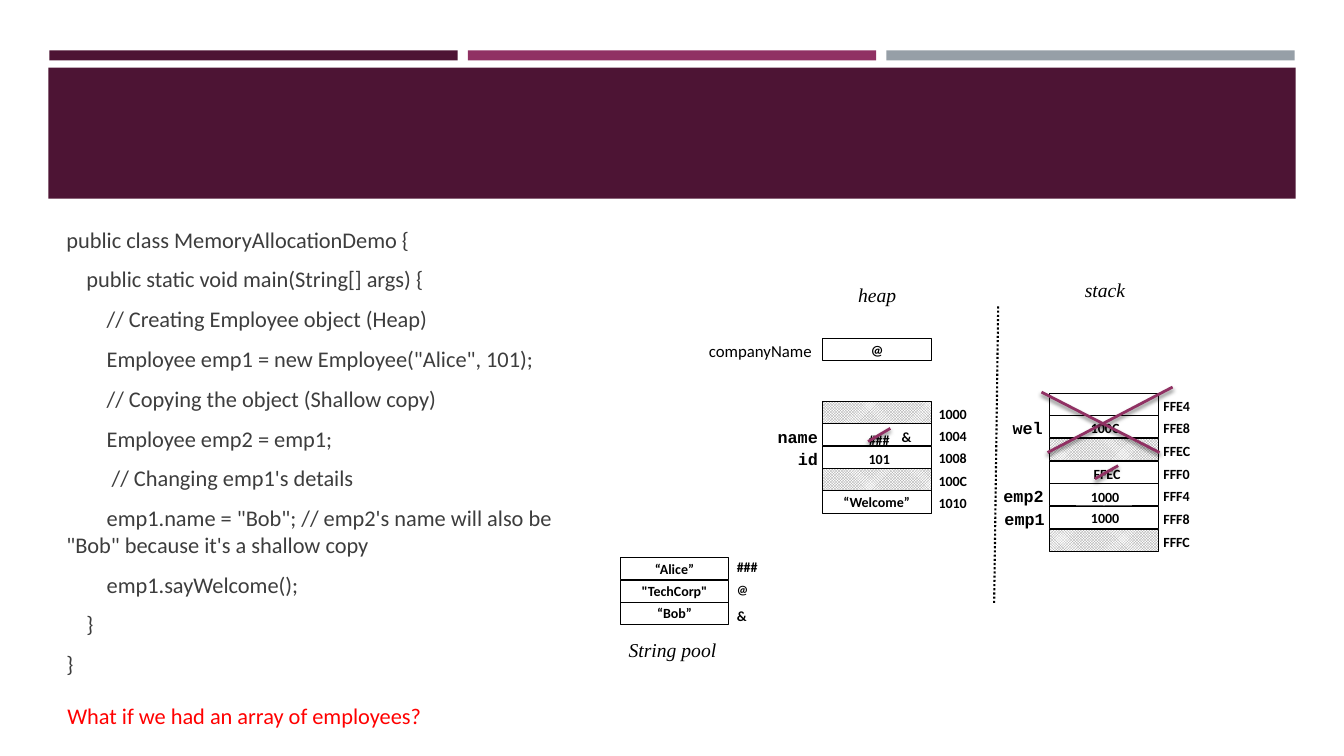
from lxml import etree
from pptx import Presentation
from pptx import util as u
from pptx.dml.color import RGBColor
from pptx.enum import dml, shapes, text
from pptx.oxml.ns import qn

COLORS = {
    "plum": "4D1434", "berry": "903163", "gray": "969FA7", "code": "3D3D3D",
    "black": "000000", "white": "FFFFFF", "check": "999999", "red": "FF0000",
}
LEFT, CENTER, RIGHT = text.PP_ALIGN.LEFT, text.PP_ALIGN.CENTER, text.PP_ALIGN.RIGHT
CELL_WIDTH, CELL_HEIGHT = 1.08, 0.22

CODE = [
    (0, "public class MemoryAllocationDemo {"),
    (0.2, "public static void main(String[] args) {"),
    (0.4, "// Creating Employee object (Heap)"),
    (0.4, 'Employee emp1 = new Employee("Alice", 101);'),
    (0.4, "// Copying the object (Shallow copy)"),
    (0.4, "Employee emp2 = emp1;"),
    (0.45, "// Changing emp1's details"),
    (0.4, "emp1.name = \"Bob\"; // emp2's name will also be \"Bob\" because it's a shallow copy"),
    (0.4, "emp1.sayWelcome();"),
    (0.2, "}"),
    (0, "}"),
]


def color(name):
    return RGBColor.from_string(COLORS[name])


class MemorySlide:
    def __init__(self, deck):
        self.page = deck.slides.add_slide(deck.slide_layouts[6])

    def add_span(self, para, words, size, ink="black", font="Calibri", bold=False, italic=False):
        span = para.add_run()
        span.text = words
        span.font.size = u.Pt(size)
        span.font.name = font
        span.font.bold = bold
        span.font.italic = italic
        span.font.color.rgb = color(ink)

    def block(self, left, top, width, height, fill):
        box = self.page.shapes.add_shape(
            shapes.MSO_SHAPE.RECTANGLE, *map(u.Inches, (left, top, width, height)))
        box.shadow.inherit = False
        box.fill.solid()
        box.fill.fore_color.rgb = color(fill)
        box.line.fill.background()
        return box

    def cell(self, left, top, words="", checked=False):
        box = self.block(left, top, CELL_WIDTH, CELL_HEIGHT, "white")
        box.line.color.rgb = color("black")
        box.line.width = u.Pt(0.75)
        if checked:
            box.fill.patterned()
            box.fill.pattern = dml.MSO_PATTERN.SMALL_CHECKER_BOARD
            box.fill.fore_color.rgb = color("check")
            box.fill.back_color.rgb = color("white")
        if words:
            frame = box.text_frame
            frame.word_wrap = False
            frame.vertical_anchor = text.MSO_ANCHOR.MIDDLE
            frame.paragraphs[0].alignment = CENTER
            self.add_span(frame.paragraphs[0], words, 10, bold=True)

    def column(self, left, first, last, rows, checked=()):
        pitch = (last - first) / (rows - 1)
        for row in range(rows):
            self.cell(left, first + row * pitch, checked=row in checked)

    def label(self, words, left, top, width=0.92, height=0.27, align=CENTER, size=10, **style):
        box = self.page.shapes.add_textbox(*map(u.Inches, (left, top, width, height)))
        box.text_frame.word_wrap = True
        para = box.text_frame.paragraphs[0]
        para.alignment = align
        self.add_span(para, words, size, **style)

    def addresses(self, left, first, last, names):
        pitch = (last - first) / (len(names) - 1)
        for row, name in enumerate(names):
            self.label(name, left, first + row * pitch, align=LEFT, bold=True)

    def variable(self, name, left, top):
        self.label(name, left, top, height=0.3, align=RIGHT, size=12,
                   font="Courier New", bold=True)

    def caption(self, words, left, top):
        self.label(words, left, top, 1.1, 0.33, size=14, font="Times New Roman", italic=True)

    def prose(self, lines, left, top, width, height, ink):
        box = self.page.shapes.add_textbox(*map(u.Inches, (left, top, width, height)))
        frame = box.text_frame
        frame.word_wrap = True
        frame.vertical_anchor = text.MSO_ANCHOR.MIDDLE
        for number, (indent, words) in enumerate(lines):
            para = frame.add_paragraph() if number else frame.paragraphs[0]
            para.space_before = u.Pt(3.2)
            para.space_after = u.Pt(6)
            para._p.get_or_add_pPr().set("indent", str(u.Inches(indent)))
            self.add_span(para, words, 16, ink)

    def line(self, start, end, ink, width, dotted=False, shadow=False):
        stroke = self.page.shapes.add_connector(
            shapes.MSO_CONNECTOR.STRAIGHT, *map(u.Inches, (*start, *end)))
        stroke.line.color.rgb = color(ink)
        stroke.line.width = u.Pt(width)
        if dotted:
            stroke.line.dash_style = dml.MSO_LINE.ROUND_DOT
        effects = etree.SubElement(stroke._element.spPr, qn("a:effectLst"))
        if shadow:
            outer = etree.SubElement(
                effects, qn("a:outerShdw"), blurRad=str(u.Pt(3)), dist=str(u.Pt(2)),
                dir="5400000", rotWithShape="0")
            shade = etree.SubElement(outer, qn("a:srgbClr"), val=COLORS["black"])
            etree.SubElement(shade, qn("a:alpha"), val="55000")


def main():
    deck = Presentation()
    deck.slide_width, deck.slide_height = u.Inches(13.33), u.Inches(7.5)
    slide = MemorySlide(deck)

    for number, fill in enumerate(("plum", "berry", "gray")):
        slide.block(0.49 + number * 4.15, 0.5, 4.05, 0.1, fill)
    slide.block(0.48, 0.67, 12.37, 1.3, "plum")
    slide.prose(CODE, 0.56, 1.98, 5.57, 5, "code")
    slide.prose([(0, "What if we had an array of employees?")], 0.57, 6.92, 4.46, 0.36, "red")

    for words, left, top in (("heap", 8.15, 2.76), ("stack", 10.41, 2.71),
                             ("String pool", 6.12, 6.28)):
        slide.caption(words, left, top)
    slide.line((9.9, 3.04), (9.86, 6), "black", 1.5, dotted=True)

    slide.cell(8.16, 3.36)
    slide.label("companyName", 6.86, 3.33, 1.29, 0.5, RIGHT, 12)
    slide.column(8.16, 3.98, 4.87, 5, checked=(0, 3))
    slide.addresses(9.21, 3.97, 4.86, ["1000", "1004", "1008", "100C", "1010"])
    slide.column(10.41, 3.9, 5.25, 7, checked=(2, 6))
    slide.addresses(11.44, 3.89, 5.24,
                    ["FFE4", "FFE8", "FFEC", "FFF0", "FFF4", "FFF8", "FFFC"])

    for row, words in enumerate(("“Alice”", '"TechCorp"', "")):
        slide.cell(6.15, 5.53 + row * 0.225, words)
    for words, top, size in (("###", 5.49, 10), ("@", 5.72, 9), ("&", 5.98, 10)):
        slide.label(words, 7.21, top, 0.54, align=LEFT, size=size, bold=True)

    for name, left, top in (("name", 7.29, 4.18), ("id", 7.29, 4.4), ("wel", 9.52, 4.1),
                            ("emp2", 9.53, 4.77), ("emp1", 9.54, 5)):
        slide.variable(name, left, top)

    for value, left, top in (
            ("@", 8.24, 3.34), ("###", 8.26, 4.23), ("&", 8.53, 4.2), ("101", 8.26, 4.42),
            ("100C", 10.5, 4.11), ("FFEC", 10.52, 4.57), ("1000", 10.5, 4.8),
            ("1000", 10.5, 5.01), ("“Bob”", 6.23, 5.95)):
        slide.label(value, left, top, bold=True)
    slide.label("“Welcome”", 8.18, 4.85, 1.03, bold=True)

    for start, end in (((8.83, 4.25), (8.61, 4.38)), ((11.09, 4.62), (10.86, 4.75)),
                       ((11.63, 3.84), (10.39, 4.49)), ((10.33, 3.89), (11.5, 4.49))):
        slide.line(start, end, "berry", 2, shadow=True)

    deck.save("out.pptx")


if __name__ == "__main__":
    main()
